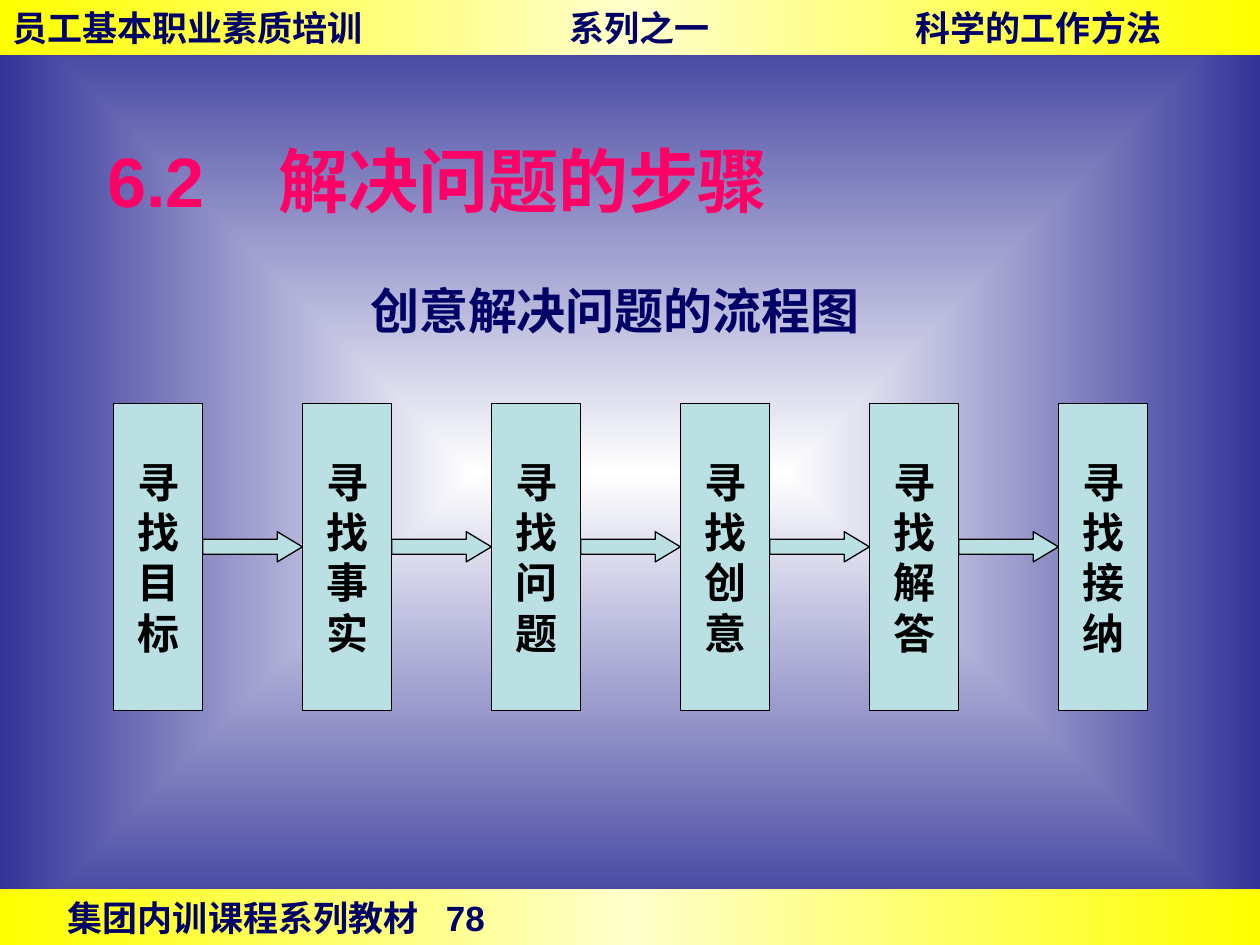
from dataclasses import dataclass

from lxml.etree import SubElement
from pptx import Presentation
from pptx.dml.color import RGBColor
from pptx.enum.shapes import MSO_SHAPE as Shape
from pptx.enum.text import MSO_ANCHOR as Anchor, PP_ALIGN as Align
from pptx.oxml.ns import qn
from pptx.util import Inches, Pt


@dataclass(frozen=True)
class Theme:
    font: str = "Arial"
    navy: str = "000066"
    pink: str = "FF0066"
    black: str = "000000"
    step_fill: str = "BBE0E3"
    band_stops: tuple = ((0, "FFFF00"), (50, "FFFFCC"), (100, "FFFF00"))
    page_stops: tuple = ((0, "FFFFFF"), (100, "333399"))
    title_size: int = 40
    subtitle_size: int = 28
    step_size: int = 24
    band_size: int = 20
    line_width: float = 0.75


class SlideBuilder:
    def __init__(self, page, theme):
        self.page = page
        self.theme = theme

    def gradient(self, fill, element, stops):
        fill.gradient()
        grad = element.find(".//" + qn("a:gradFill"))
        for child in list(grad):
            grad.remove(child)
        stop_list = SubElement(grad, qn("a:gsLst"))
        for percent, color in stops:
            stop = SubElement(stop_list, qn("a:gs"), pos=str(percent * 1000))
            SubElement(stop, qn("a:srgbClr"), val=color)
        return grad

    def background(self):
        grad = self.gradient(self.page.background.fill, self.page.element, self.theme.page_stops)
        route = SubElement(grad, qn("a:path"), path="rect")
        SubElement(route, qn("a:fillToRect"), l="50000", t="50000", r="50000", b="50000")

    def set_text(self, frame, lines, size, color, align=Align.LEFT, anchor=Anchor.MIDDLE,
                 wrap=True, indent=0, tabs=(), spacing=None):
        frame.word_wrap = wrap
        frame.vertical_anchor = anchor
        frame.text = "\n".join(lines)
        for para in frame.paragraphs:
            para.alignment = align
            if spacing:
                para.line_spacing = spacing
            props = para._p.get_or_add_pPr()
            if indent:
                props.set("marL", str(Inches(indent)))
                props.set("indent", "0")
            if tabs:
                tab_list = SubElement(props, qn("a:tabLst"))
                for stop in tabs:
                    SubElement(tab_list, qn("a:tab"), pos=str(Inches(stop)), algn="l")
            para.font.name = self.theme.font
            para.font.size = Pt(size)
            para.font.bold = True
            para.font.color.rgb = RGBColor.from_string(color)

    def shape(self, kind, left, top, width, height):
        box = self.page.shapes.add_shape(
            kind, Inches(left), Inches(top), Inches(width), Inches(height))
        box.shadow.inherit = False
        return box

    def band(self, top, text, tabs, indent=0):
        box = self.shape(Shape.RECTANGLE, 0, top, 10, 0.44)
        grad = self.gradient(box.fill, box.element, self.theme.band_stops)
        SubElement(grad, qn("a:lin"), ang="10800000", scaled="0")
        box.line.fill.background()
        self.set_text(box.text_frame, [text], self.theme.band_size, self.theme.navy,
                      tabs=tabs, indent=indent)

    def title(self, text, left, top, width, height, tabs):
        box = self.page.shapes.title
        box.left, box.top = Inches(left), Inches(top)
        box.width, box.height = Inches(width), Inches(height)
        self.set_text(box.text_frame, [text], self.theme.title_size, self.theme.pink, tabs=tabs)

    def subtitle(self, text, left, top, width, height, indent):
        box = self.page.shapes.add_textbox(
            Inches(left), Inches(top), Inches(width), Inches(height))
        self.set_text(box.text_frame, [text], self.theme.subtitle_size, self.theme.navy,
                      anchor=Anchor.TOP, indent=indent, spacing=1.5)

    def outlined(self, kind, left, top, width, height):
        box = self.shape(kind, left, top, width, height)
        box.fill.solid()
        box.fill.fore_color.rgb = RGBColor.from_string(self.theme.step_fill)
        box.line.color.rgb = RGBColor.from_string(self.theme.black)
        box.line.width = Pt(self.theme.line_width)
        return box

    def step(self, text, left, top, width, height):
        box = self.outlined(Shape.RECTANGLE, left, top, width, height)
        self.set_text(box.text_frame, list(text), self.theme.step_size, self.theme.black,
                      align=Align.CENTER, wrap=False)

    def arrow(self, left, top, width, height):
        box = self.outlined(Shape.RIGHT_ARROW, left, top, width, height)
        box.adjustments[0] = 0.5
        box.adjustments[1] = 0.83


def main():
    deck = Presentation()
    deck.slide_width, deck.slide_height = Inches(10), Inches(7.5)
    page = deck.slides.add_slide(deck.slide_layouts[5])
    builder = SlideBuilder(page, Theme())

    builder.background()
    builder.band(7.06, "集团内训课程系列教材\t78", tabs=(5.35,), indent=0.44)
    builder.band(0, "员工基本职业素质培训\t系列之一\t科学的工作方法", tabs=(4.42, 7.17))
    builder.title("6.2\t解决问题的步骤", 0.75, 1.07, 7.87, 0.71, tabs=(1.36,))
    builder.subtitle("创意解决问题的流程图", 2.48, 1.94, 5.12, 0.8, indent=0.36)

    steps = ("寻找目标", "寻找事实", "寻找问题", "寻找创意", "寻找解答", "寻找接纳")
    first, pitch, width = 0.9, 1.5, 0.71
    for index, text in enumerate(steps):
        left = first + index * pitch
        builder.step(text, left, 3.2, width, 2.44)
        if index < len(steps) - 1:
            builder.arrow(left + width, 4.22, pitch - width, 0.24)

    deck.save("out.pptx")


if __name__ == "__main__":
    main()
